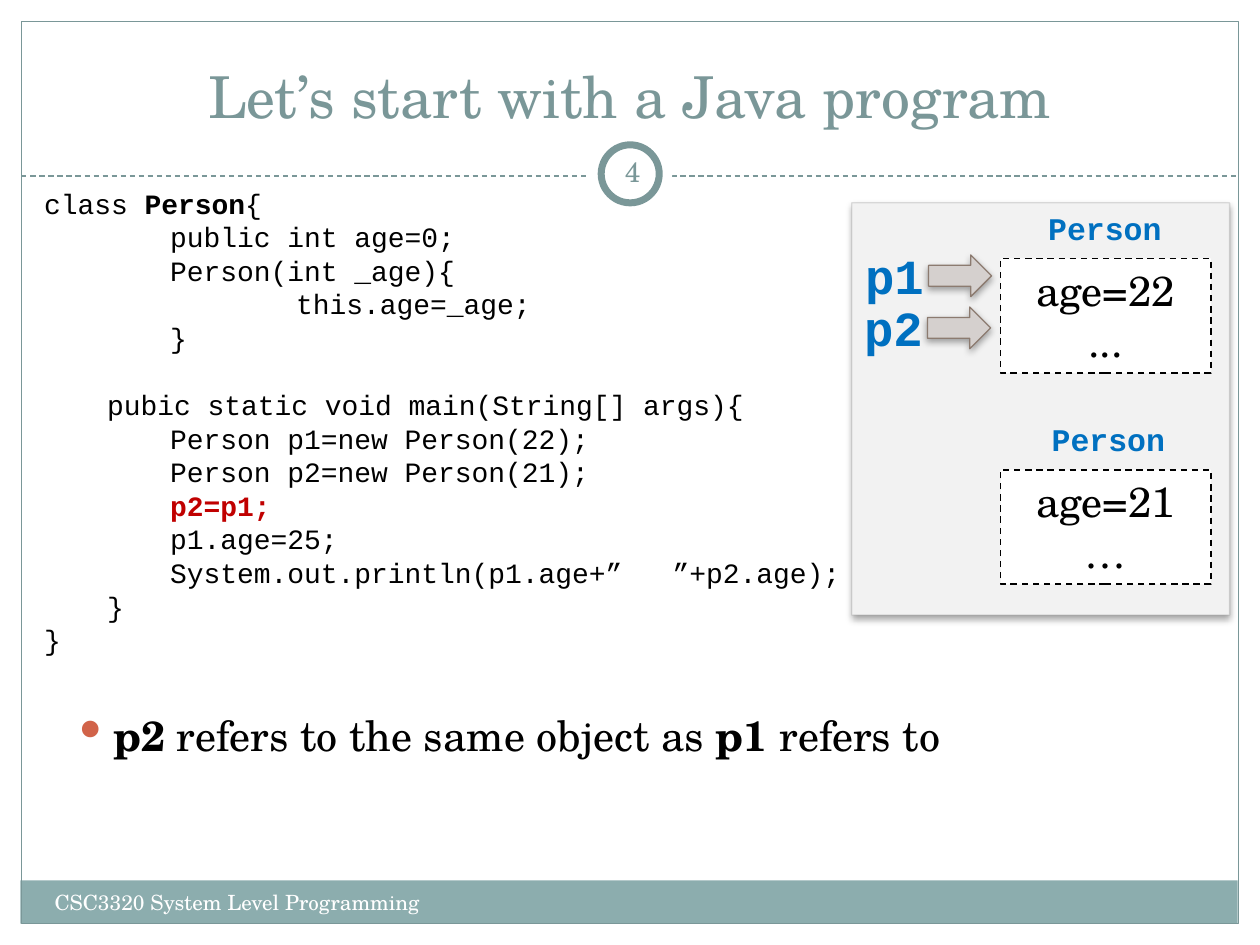
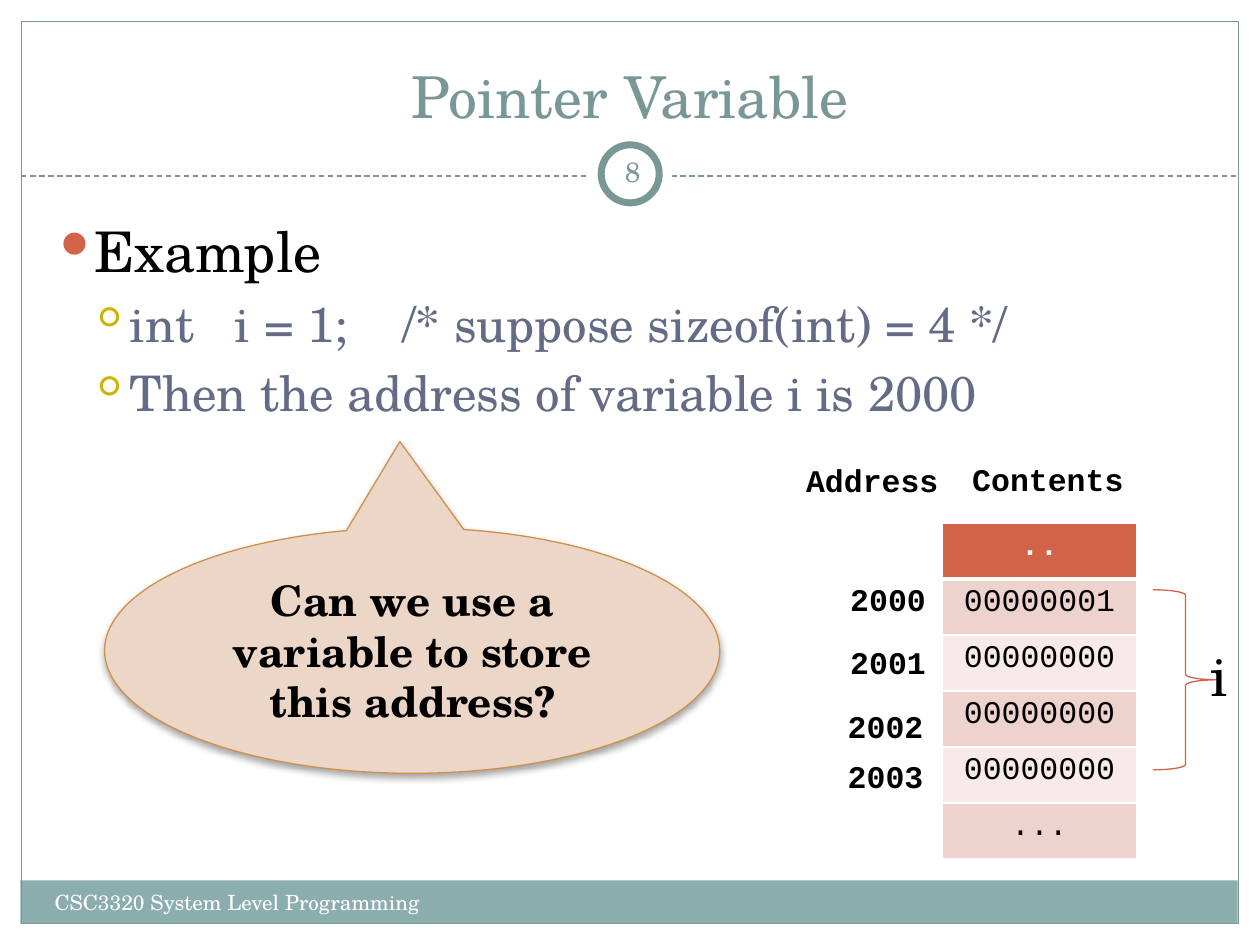
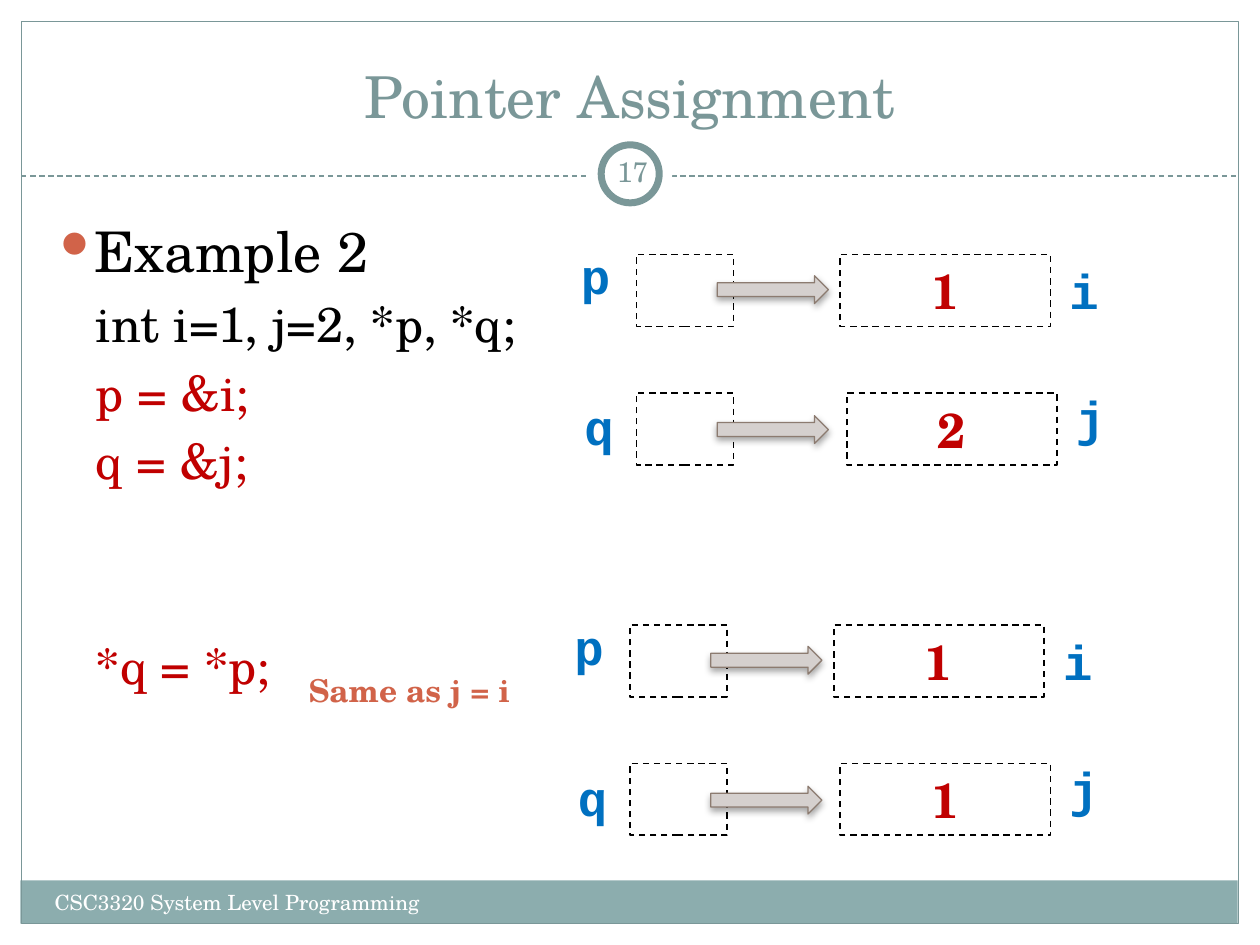
from lxml import etree
from pptx import Presentation
from pptx.dml.color import RGBColor
from pptx.enum.dml import MSO_LINE
from pptx.enum.shapes import MSO_CONNECTOR, MSO_SHAPE
from pptx.enum.text import MSO_ANCHOR, PP_ALIGN
from pptx.oxml.ns import qn
from pptx.util import Cm, Pt

RECT, OVAL = MSO_SHAPE.RECTANGLE, MSO_SHAPE.OVAL
ARROW, BRACE = MSO_SHAPE.RIGHT_ARROW, MSO_SHAPE.RIGHT_BRACE
CALLOUT = MSO_SHAPE.OVAL_CALLOUT
STRAIGHT, DASH = MSO_CONNECTOR.STRAIGHT, MSO_LINE.DASH
LEFT, CENTER, JUSTIFY = PP_ALIGN.LEFT, PP_ALIGN.CENTER, PP_ALIGN.JUSTIFY
TOP, MIDDLE, BOTTOM = MSO_ANCHOR.TOP, MSO_ANCHOR.MIDDLE, MSO_ANCHOR.BOTTOM

SERIF, MONO = "TeX Gyre Schola", "Courier New"
WHITE, BLACK, TEAL, BAND = "FFFFFF", "000000", "7A9798", "8CADAE"
ORANGE, OLIVE, SLATE = "D16349", "CCB400", "646B86"
RED, BLUE = "C00000", "0070C0"
DARK_ROW, LIGHT_ROW = "EED2CE", "F7EAE8"
DOT, RING = ("⚫", ORANGE), ("⚪", OLIVE)
COURSE = "CSC3320 System Level Programming"


def rgb(value):
    """Turn a hex string into a colour."""
    return RGBColor.from_string(value)


def add_xml(parent, tag, **attributes):
    """Append a drawing element with the given attributes."""
    return etree.SubElement(parent, qn(f"a:{tag}"), attributes)


def add_bullet(paragraph, bullet):
    """Give a paragraph a coloured bullet character."""
    character, color = bullet
    properties = paragraph._p.get_or_add_pPr()
    add_xml(add_xml(properties, "buClr"), "srgbClr", val=color)
    add_xml(properties, "buSzPct", val="85000")
    add_xml(properties, "buChar", char=character)


def write(frame, *runs, size=18, color=BLACK, font=SERIF, bold=False, align=LEFT,
          anchor=TOP, before=0, indent=0, hanging=0, bullet=None):
    """Add one paragraph of runs, each a string or a (string, overrides) pair."""
    frame.word_wrap = True
    frame.vertical_anchor = anchor
    first = frame.paragraphs[0]
    paragraph = frame.add_paragraph() if first.runs else first
    paragraph.alignment = align
    paragraph.space_before = Pt(before)
    properties = paragraph._p.get_or_add_pPr()
    properties.set("marL", str(Cm(indent)))
    properties.set("indent", str(Cm(-hanging)))
    if bullet:
        add_bullet(paragraph, bullet)
    for item in runs:
        words, changes = (item, {}) if isinstance(item, str) else item
        run = paragraph.add_run()
        run.text = words
        run.font.name = font
        run.font.size = Pt(size)
        run.font.bold = changes.get("bold", bold)
        run.font.color.rgb = rgb(changes.get("color", color))


def text_box(slide, x, y, width, height):
    """Add an empty text box and return its frame."""
    return slide.shapes.add_textbox(Cm(x), Cm(y), Cm(width), Cm(height)).text_frame


def label(slide, x, y, words, width=3.6, height=1, **style):
    """Place a short text in its own box."""
    write(text_box(slide, x, y, width, height), words, **style)


def add_figure(slide, kind, x, y, width, height, fill=None, line=None,
               weight=0.75, dash=None, shadow=False, adjust=()):
    """Add a preset shape with its fill, outline and optional shadow."""
    figure = slide.shapes.add_shape(kind, Cm(x), Cm(y), Cm(width), Cm(height))
    for index, value in enumerate(adjust):
        figure.adjustments[index] = value
    if fill:
        figure.fill.solid()
        figure.fill.fore_color.rgb = rgb(fill)
    else:
        figure.fill.background()
    if line:
        figure.line.color.rgb = rgb(line)
        figure.line.width = Pt(weight)
        if dash:
            figure.line.dash_style = dash
    else:
        figure.line.fill.background()
    figure.shadow.inherit = False
    if shadow:
        effects = figure._element.spPr.find(qn("a:effectLst"))
        outer = add_xml(effects, "outerShdw", blurRad=str(Pt(4)), dist=str(Pt(2)),
                        dir="5400000", rotWithShape="0")
        add_xml(add_xml(outer, "srgbClr", val=BLACK), "alpha", val="35000")
    return figure


def memory_cell(slide, x, y, width, height):
    """Draw a dashed box and return its frame."""
    return add_figure(slide, RECT, x, y, width, height, WHITE, BLACK, 0.9, DASH).text_frame


def block_arrow(slide, x, y, width, height):
    """Draw a grey arrow that points right."""
    add_figure(slide, ARROW, x, y, width, height, "D5D0CE", "8C7B70", shadow=True)


def new_slide(deck, title, number):
    """Add a slide with the frame, title, number and footer."""
    slide = deck.slides.add_slide(deck.slide_layouts[6])
    add_figure(slide, RECT, 0.41, 17.75, 24.54, 0.87, BAND)
    add_figure(slide, RECT, 0.43, 0.43, 24.54, 18.19, line=TEAL)
    rule = slide.shapes.add_connector(STRAIGHT, Cm(0.43), Cm(3.55), Cm(24.97), Cm(3.55))
    rule.line.color.rgb = rgb(TEAL)
    rule.line.width = Pt(0.75)
    rule.line.dash_style = DASH
    add_xml(rule._element.spPr, "effectLst")
    add_figure(slide, OVAL, 11.85, 2.67, 1.7, 1.7, WHITE)
    add_figure(slide, OVAL, 12.12, 2.92, 1.17, 1.17, WHITE, TEAL, 4)
    label(slide, 0.85, 0.64, title, 23.7, 2.11, size=33, color=TEAL,
          align=CENTER, anchor=BOTTOM)
    label(slide, 0.85, 17.81, COURSE, 9.96, size=12, color=WHITE)
    label(slide, 12.12, 2.84, str(number), 1.27, 1.22, size=16, color=TEAL,
          align=CENTER, anchor=MIDDLE)
    return slide


def code_listing(slide, x, y, width, height):
    """Write the Person class, one paragraph for each line of code."""
    lines = [
        (0, ["class ", ("Person", {"bold": True}), "{"]),
        (2, ["public int age=0;"]),
        (2, ["Person(int _age){"]),
        (4, ["this.age=_age;"]),
        (2, ["}"]),
        (1, ["pubic static void main(String[] args){"]),
        (2, ["Person p1=new Person(22);"]),
        (2, ["Person p2=new Person(21);"]),
        (2, [("p2=p1;", {"bold": True, "color": RED})]),
        (2, ["p1.age=25;"]),
        (2, ["System.out.println(p1.age+”   ”+p2.age);"]),
        (1, ["}"]),
        (0, ["}"]),
    ]
    frame = text_box(slide, x, y, width, height)
    for index, (depth, runs) in enumerate(lines):
        write(frame, *runs, size=16, font=MONO, indent=1.27 * depth,
              before=19.15 if index == 5 else 0)


def object_panel(slide, x, y, width, height):
    """Show two Person objects and the references to the first."""
    name = {"font": MONO, "color": BLUE, "bold": True}
    panel = add_figure(slide, RECT, x, y, width, height, "F2F2F2", BLACK, shadow=True)
    outline = panel._element.spPr.find(qn("a:ln")).find(".//" + qn("a:srgbClr"))
    add_xml(outline, "alpha", val="11000")
    objects = [("age=22", "...", 1.12, 3.71), ("age=21", "…", 5.38, 3.78)]
    for age, rest, top, name_left in objects:
        fields = memory_cell(slide, x + 3, y + top, 4.24, 2.31)
        for field in (age, rest):
            write(fields, field, size=24, align=CENTER)
        label(slide, x + name_left, y + top - 1.12, "Person", size=18, **name)
    for row, reference in enumerate(("p1", "p2")):
        left, top = x + 0.02 - 0.02 * row, y + 0.74 + 1.05 * row
        label(slide, left, top, reference, 2, 1.45, size=28, **name)
        block_arrow(slide, left + 1.53, top + 0.31, 1.27, 0.84)


def memory_map(slide, x, y):
    """Show the memory table with its addresses and the brace of variable i."""
    contents = ["..", "00000001", "00000000", "00000000", "00000000", "..."]
    width, row_height = 3.91, 1.13
    table = slide.shapes.add_table(len(contents), 1, Cm(x), Cm(y), Cm(width),
                                   Cm(row_height * len(contents))).table
    for index, content in enumerate(contents):
        table.rows[index].height = Cm(row_height)
        cell = table.cell(index, 0)
        head = index == 0
        write(cell.text_frame, content, font=MONO, bold=head, align=CENTER,
              color=WHITE if head else BLACK)
        properties = cell._tc.get_or_add_tcPr()
        for side in ("lnL", "lnR", "lnT", "lnB"):
            thick = (head and side == "lnB") or (index == 1 and side == "lnT")
            border = add_xml(properties, side, w=str(Pt(3 if thick else 1)))
            add_xml(add_xml(border, "solidFill"), "srgbClr", val=WHITE)
        cell.fill.solid()
        cell.fill.fore_color.rgb = rgb(
            ORANGE if head else DARK_ROW if index % 2 else LIGHT_ROW)
    labels = [("Address", -3, -1.37), ("Contents", 0.35, -1.4),
              ("2000", -2.11, 1.02), ("2001", -2.11, 2.29),
              ("2002", -2.16, 3.58), ("2003", -2.16, 4.6)]
    for words, left, top in labels:
        label(slide, x + left, y + top, words, width=4, font=MONO, bold=True)
    add_figure(slide, BRACE, x + 4.24, y + 1.35, 1.32, 3.63, line=ORANGE,
               adjust=(0.083, 0.5))
    label(slide, x + 5.16, y + 2.24, "i", 1.2, 1.63, size=32)


def question(slide, x, y, width, height):
    """Ask the question in an oval callout."""
    callout = add_figure(slide, CALLOUT, x, y, width, height, "ECD6C7", "D19049",
                         shadow=True, adjust=(-0.02, -0.851))
    write(callout.text_frame, "Can we use a variable to store this address?",
          size=24, bold=True, align=CENTER, anchor=MIDDLE)


def pointer_state(slide, x, y, values):
    """Show pointers p and q with the variables they point to."""
    name = {"width": 1.12, "height": 1.45, "size": 28, "font": MONO,
            "color": BLUE, "bold": True}
    rows = [("p", -1.37, -0.3, "i", 8.48, 0, 4.11),
            ("q", -1.3, -0.05, "j", 8.61, -0.23, 4.24)]
    for index, (row, value) in enumerate(zip(rows, values)):
        pointer, pointer_x, pointer_y, variable, variable_x, variable_y, target_x = row
        top = y + 2.79 * index
        memory_cell(slide, x, top, 1.96, 1.45)
        target = memory_cell(slide, x + target_x, top, 4.24, 1.45)
        write(target, value, size=28, color=RED, bold=True, align=CENTER)
        block_arrow(slide, x + 1.63, top + 0.43 + 0.03 * index, 2.24, 0.56)
        label(slide, x + pointer_x, top + pointer_y, pointer, **name)
        label(slide, x + variable_x, top + variable_y, variable, **name)


def example_text(slide, x, y, width, height, heading, lines):
    """Write a bulleted heading and its lines, each with its own format."""
    frame = text_box(slide, x, y, width, height)
    write(frame, heading, size=32, align=JUSTIFY, indent=0.76, hanging=0.76, bullet=DOT)
    for words, style in lines:
        write(frame, words, **{"size": 28, "align": JUSTIFY, "before": 5.6, **style})


def java_slide(deck):
    """Build the slide on references in Java."""
    slide = new_slide(deck, "Let’s start with a Java program", 4)
    code_listing(slide, 0.64, 3.63, 20.32, 10.77)
    object_panel(slide, 17.17, 4.09, 7.62, 8.31)
    strong = {"bold": True}
    write(text_box(slide, 1.27, 14.17, 23.5, 1.27), ("p2", strong),
          " refers to the same object as ", ("p1", strong), " refers to",
          size=24, align=JUSTIFY, indent=0.76, hanging=0.76, bullet=DOT)


def variable_slide(deck):
    """Build the slide on the address of a variable."""
    slide = new_slide(deck, "Pointer Variable", 8)
    item = {"color": SLATE, "indent": 1.52, "hanging": 0.76, "bullet": RING}
    example_text(slide, 0.85, 4.24, 23.57, 8.2, "Example", [
        ("int   i = 1;    /* suppose sizeof(int) = 4 */", item),
        ("Then the address of variable i is 2000", item),
    ])
    memory_map(slide, 19, 10.54)
    question(slide, 2.11, 10.64, 12.4, 4.95)


def assignment_slide(deck):
    """Build the slide on assigning through pointers."""
    slide = new_slide(deck, "Pointer Assignment", 17)
    plain = {"indent": 0.83}
    accent = {**plain, "color": RED}
    example_text(slide, 0.85, 4.24, 23.62, 12.7, "Example 2", [
        ("int i=1, j=2, *p, *q;", plain),
        ("p = &i;", accent),
        ("q = &j;", accent),
        ("*q = *p;", {**accent, "before": 83.5}),
    ])
    pointer_state(slide, 12.83, 5.13, ("1", "2"))
    pointer_state(slide, 12.7, 12.6, ("1", "1"))
    label(slide, 5.97, 13.41, "Same as j = i", 5, color=ORANGE, bold=True)


def main():
    """Build and save the deck."""
    deck = Presentation()
    deck.slide_width, deck.slide_height = Cm(25.4), Cm(19.05)
    for build in (java_slide, variable_slide, assignment_slide):
        build(deck)
    deck.save("out.pptx")


if __name__ == "__main__":
    main()
